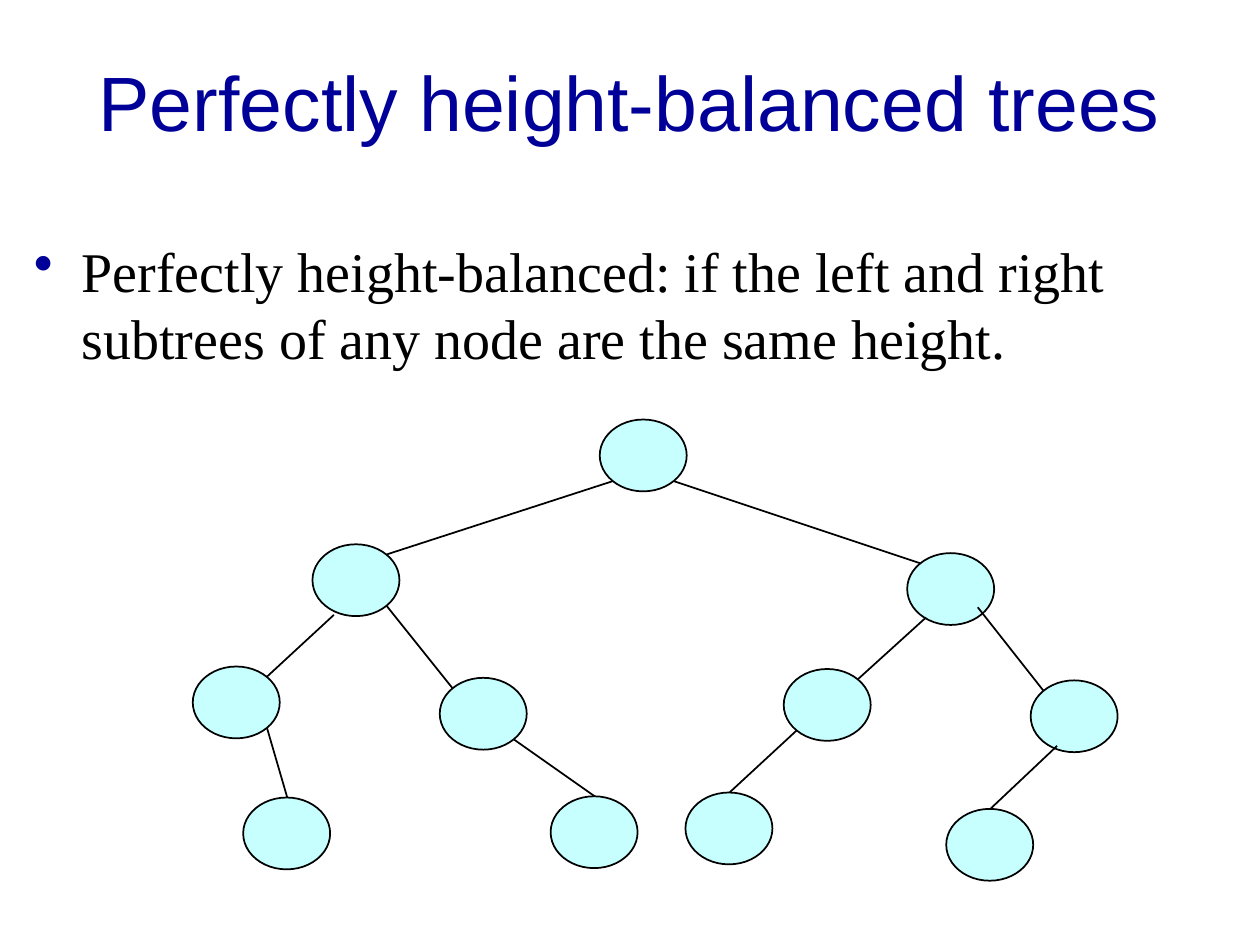
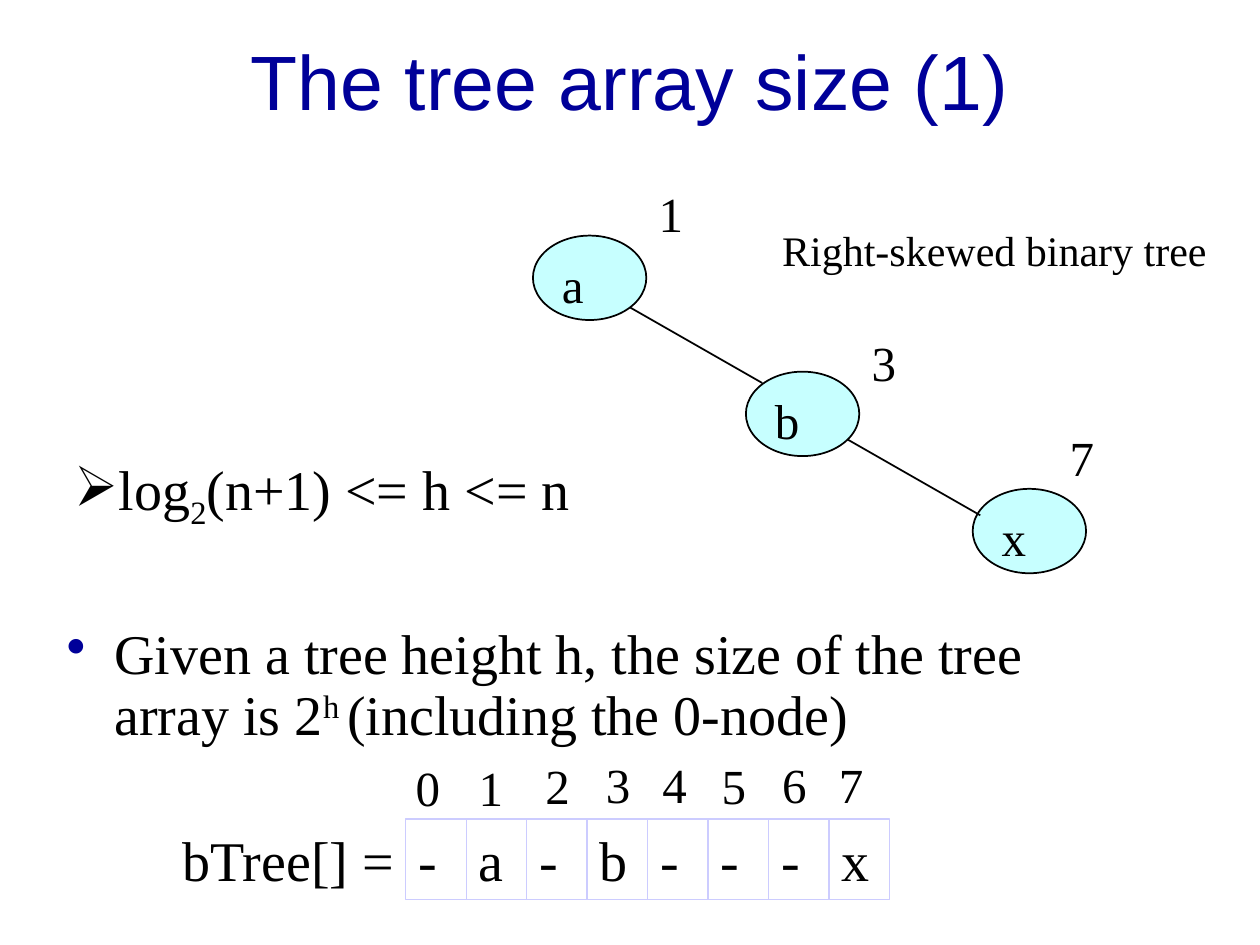
from lxml.etree import SubElement
from pptx import Presentation
from pptx.dml.color import RGBColor
from pptx.enum.shapes import MSO_CONNECTOR, MSO_SHAPE
from pptx.enum.text import MSO_ANCHOR, PP_ALIGN
from pptx.oxml.ns import qn
from pptx.util import Emu, Pt

PX = 9144  # one px is a hundredth of an inch


def px(length):
    return Emu(round(length * PX))


def color(hex_string):
    return RGBColor.from_string(hex_string)


class TreeDeck:
    """Shared style, and the slide being drawn."""

    NAVY, BLACK, AQUA, LAVENDER = "000099", "000000", "C7FFFF", "CCCCFF"
    SANS, SERIF = "Arial", "Times New Roman"

    def __init__(self):
        self.deck = Presentation()
        self.deck.slide_width, self.deck.slide_height = px(1000), px(750)
        self.page = None

    def new_page(self, title, left, width, height):
        self.page = self.deck.slides.add_slide(self.deck.slide_layouts[6])
        frame = self.text(title, left, 17, width, height, 44, wrap=True,
                          face=self.SANS, ink=self.NAVY)
        frame.vertical_anchor = MSO_ANCHOR.MIDDLE
        frame.paragraphs[0].alignment = PP_ALIGN.CENTER

    def fill_frame(self, frame, content, size, face=SERIF, ink=BLACK):
        """Fill a frame; content is a string or (text, baseline) pairs."""
        spans = [(content, 0)] if isinstance(content, str) else content
        para = frame.paragraphs[0]
        for words, baseline in spans:
            span = para.add_run()
            span.text = words
            if baseline:
                span._r.get_or_add_rPr().set("baseline", str(baseline * 1000))
        para.font.size, para.font.name = Pt(size), face
        para.font.color.rgb = color(ink)

    def text(self, content, left, top, width, height, size, wrap=False,
             face=SERIF, ink=BLACK, bullet=None):
        box = self.page.shapes.add_textbox(px(left), px(top), px(width), px(height))
        frame = box.text_frame
        frame.word_wrap = wrap
        if bullet:
            self.bullet(frame.paragraphs[0], *bullet)
        self.fill_frame(frame, content, size, face, ink)
        return frame

    def bullet(self, para, mark, ink, indent):
        props = para._p.get_or_add_pPr()
        props.set("marL", str(px(indent)))
        props.set("indent", str(px(-indent)))
        fill = SubElement(props, qn("a:buClr"))
        SubElement(fill, qn("a:srgbClr")).set("val", ink)
        SubElement(props, qn("a:buChar")).set("char", mark)

    def body(self, content, left, top, width, height):
        return self.text(content, left, top, width, height, 32, wrap=True,
                         bullet=("•", self.NAVY, 38))

    def shape(self, kind, left, top, width, height, fill, ink, weight,
              label="", size=28):
        shape = self.page.shapes.add_shape(
            kind, px(left), px(top), px(width), px(height))
        shape.shadow.inherit = False
        if fill:
            shape.fill.solid()
            shape.fill.fore_color.rgb = color(fill)
        else:
            shape.fill.background()
        shape.line.color.rgb = color(ink)
        shape.line.width = Pt(weight)
        if label:
            frame = shape.text_frame
            frame.vertical_anchor = MSO_ANCHOR.TOP
            frame.paragraphs[0].alignment = PP_ALIGN.LEFT
            self.fill_frame(frame, label, size)

    def node(self, left, top, width, height, label=""):
        self.shape(MSO_SHAPE.OVAL, left, top, width, height,
                   self.AQUA, self.BLACK, 1, label)

    def cell(self, left, top, width, height, label):
        self.shape(MSO_SHAPE.RECTANGLE, left, top, width, height,
                   None, self.LAVENDER, 0.75, label, 32)

    def edge(self, x1, y1, x2, y2):
        line = self.page.shapes.add_connector(
            MSO_CONNECTOR.STRAIGHT, px(x1), px(y1), px(x2), px(y2))
        line.line.color.rgb = color(self.BLACK)
        line.line.width = Pt(1)
        SubElement(line._element.spPr, qn("a:effectLst"))


def balanced_trees(draw):
    draw.new_page("Perfectly height-balanced trees", 0, 1000, 125)
    draw.body("Perfectly height-balanced: if the left and right subtrees "
              "of any node are the same height.", 17, 183, 967, 450)

    # Nodes, named by the turns taken from the root
    nodes = {
        "root": (476, 333), "L": (248, 432), "R": (720, 439),
        "LL": (153, 529), "LR": (349, 538), "RL": (622, 531), "RR": (818, 540),
        "LLR": (193, 633), "LRR": (437, 632), "RLL": (544, 629), "RRL": (751, 642),
    }
    for left, top in nodes.values():
        draw.node(left, top, 69, 57)

    # Edges run between points on the node outlines
    outline = {"top": (35, 0), "top left": (10, 8), "top right": (59, 8),
               "bottom left": (10, 49), "bottom right": (59, 49)}
    nudges = {"LL": (7, 7), "RL": (5, 2), "RR": (-3, -6), "RRL": (11, 3)}
    for child, (left, top) in nodes.items():
        if child == "root":
            continue
        parent_left, parent_top = nodes[child[:-1] or "root"]
        goes_left = child[-1] == "L"
        start_x, start_y = outline["bottom left" if goes_left else "bottom right"]
        is_leaf = len(child) == 3
        end_x, end_y = outline["top" if is_leaf else
                               "top right" if goes_left else "top left"]
        nudge_x, nudge_y = nudges.get(child, (0, 0))
        draw.edge(parent_left + start_x + nudge_x, parent_top + start_y + nudge_y,
                  left + end_x, top + end_y)


def tree_array_size(draw):
    draw.new_page("The tree array size (1)", 75, 850, 92)
    frame = draw.body([("Given a tree height h, the size of the tree array is 2", 0),
                       ("h ", 30), ("(including the 0-node)", 0)], 43, 492, 850, 110)
    frame.paragraphs[0].line_spacing = 0.9

    # Right-skewed tree with array positions beside its nodes
    for label, left, top in [("a", 423, 187), ("b", 592, 295), ("x", 772, 388)]:
        draw.node(left, top, 90, 67, label)
    for left, top in [(500, 244), (673, 349)]:
        draw.edge(left, top, left + 105, top + 60)
    for position, left, top in [("1", 513, 141), ("3", 682, 259), ("7", 839, 334)]:
        draw.text(position, left, top, 40, 57, 28)
    draw.text("Right-skewed binary tree", 611, 173, 360, 50, 24)

    # Height bounds
    draw.text([("log", 0), ("2", -25), ("(n+1) <= h <= n", 0)],
              49, 356, 419, 64, 32, bullet=("➢", draw.BLACK, 0))

    # Array cells under their indices
    draw.text("bTree[] =", 135, 650, 190, 64, 32)
    index_lefts = [320, 370, 423, 471, 516, 563, 611, 656]
    index_tops = [596, 596, 595, 594, 594, 595, 594, 594]
    for index, (value, left, top) in enumerate(zip("-a-b---x", index_lefts, index_tops)):
        draw.cell(322 + 48 * index, 650, 48, 64, value)
        draw.text(str(index), left, top, 40, 57, 28)


def main():
    draw = TreeDeck()
    balanced_trees(draw)
    tree_array_size(draw)
    draw.deck.save("out.pptx")


if __name__ == "__main__":
    main()
